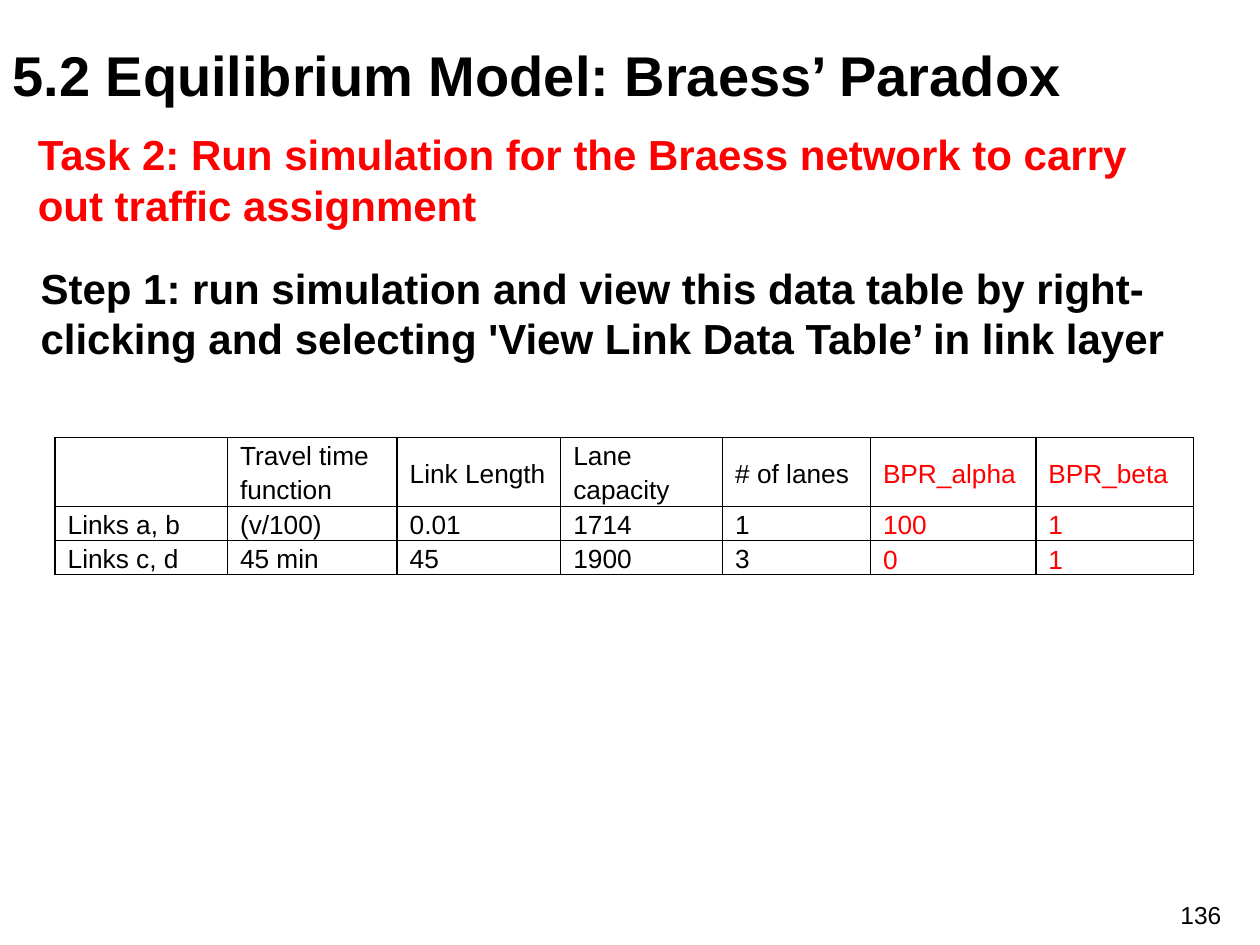
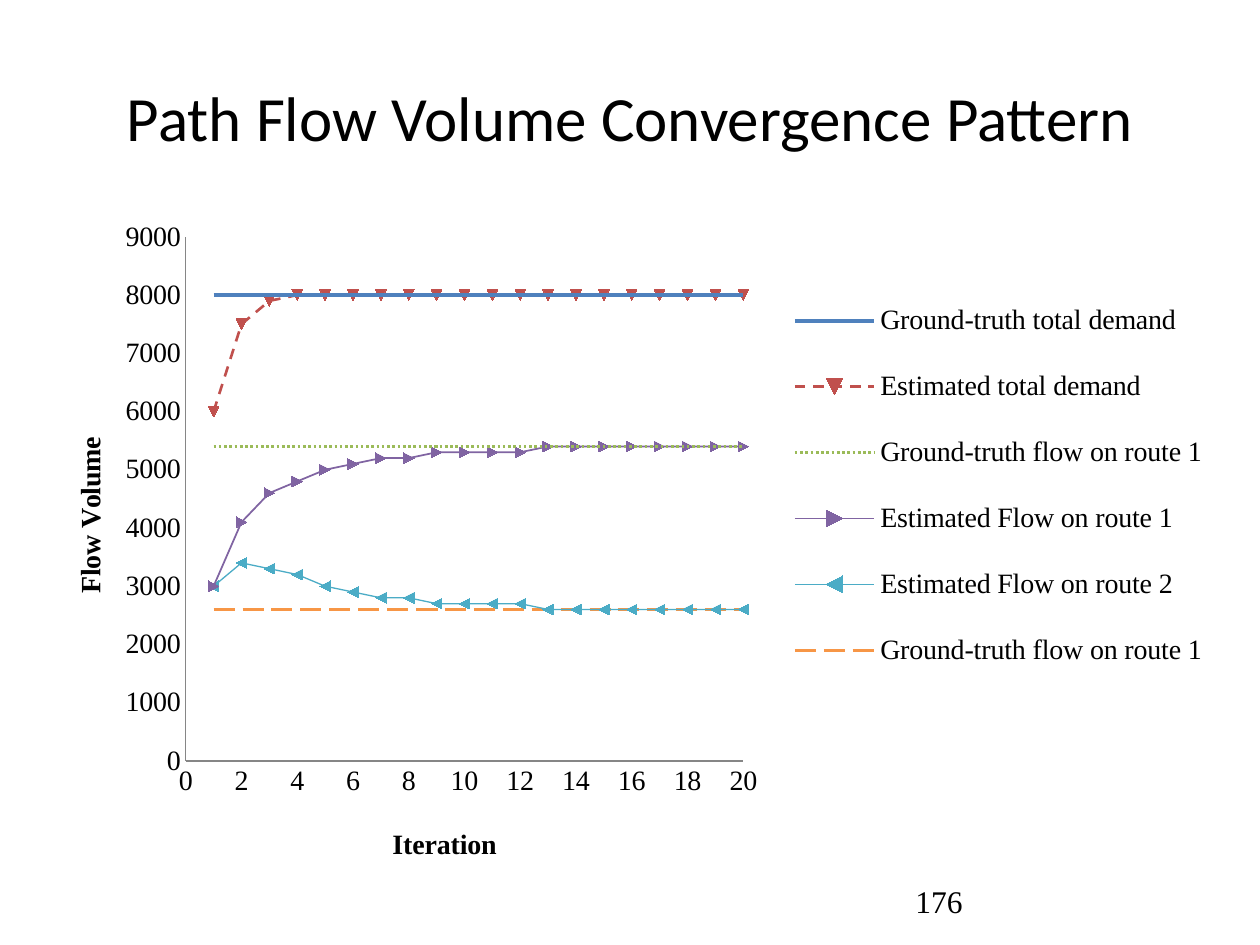
import dataclasses

import lxml.etree
import pptx
import pptx.chart.data
import pptx.dml.color
import pptx.enum.chart
import pptx.enum.dml
import pptx.enum.text
import pptx.oxml
import pptx.oxml.ns
import pptx.util

Pt = pptx.util.Pt
Dash = pptx.enum.dml.MSO_LINE
Align = pptx.enum.text.PP_ALIGN
Anchor = pptx.enum.text.MSO_ANCHOR
qn = pptx.oxml.ns.qn


@dataclasses.dataclass(frozen=True)
class Theme:
    black: str = "000000"
    red: str = "FF0000"
    axis: str = "868686"
    sans: str = "Arial"
    title_font: str = "Calibri"
    serif: str = "Times New Roman"
    heading: float = 32
    title: float = 36
    step: float = 24
    cell: float = 15
    chart: float = 16
    page_number: float = 14
    large_page_number: float = 18


def rgb(value):
    return pptx.dml.color.RGBColor.from_string(value)


class SlideBuilder:
    """Holds the style and the slide being filled."""

    def __init__(self, deck, theme):
        self.deck = deck
        self.theme = theme
        self.page = None

    def new_page(self):
        self.page = self.deck.slides.add_slide(self.deck.slide_layouts[5])

    def style(self, font, size, name=None, color=None, bold=False):
        font.name = name or self.theme.sans
        font.size = Pt(size)
        font.bold = bold
        font.color.rgb = rgb(color or self.theme.black)

    def add_words(self, frame, text, size, align=Align.LEFT, **look):
        para = frame.paragraphs[0]
        para.alignment = align
        span = para.add_run()
        span.text = text
        self.style(span.font, size, **look)
        return para

    def fill_box(self, box, text, size, anchor, **look):
        frame = box.text_frame
        frame.word_wrap = True
        frame.auto_size = pptx.enum.text.MSO_AUTO_SIZE.NONE
        frame.vertical_anchor = anchor
        self.add_words(frame, text, size, **look)

    def title(self, area, text, size, **look):
        box = self.page.shapes.title
        box.left, box.top, box.width, box.height = map(Pt, area)
        self.fill_box(box, text, size, Anchor.MIDDLE, **look)

    def text(self, area, text, size, anchor=Anchor.MIDDLE, **look):
        box = self.page.shapes.add_textbox(*map(Pt, area))
        self.fill_box(box, text, size, anchor, **look)

    # Tables
    def border(self, cell):
        properties = cell._tc.get_or_add_tcPr()
        for position, side in enumerate(("lnL", "lnR", "lnT", "lnB")):
            line = lxml.etree.Element(qn(f"a:{side}"), w=str(Pt(1)))
            fill = lxml.etree.SubElement(line, qn("a:solidFill"))
            lxml.etree.SubElement(fill, qn("a:srgbClr"), val=self.theme.black)
            properties.insert(position, line)

    def table(self, left, top, widths, heights, rows, red_from):
        frame = self.page.shapes.add_table(
            len(rows), len(widths), Pt(left), Pt(top), Pt(sum(widths)), Pt(sum(heights)))
        table = frame.table
        table.first_row = table.horz_banding = False
        for column, width in zip(table.columns, widths):
            column.width = Pt(width)
        for row, height in zip(table.rows, heights):
            row.height = Pt(height)
        for r, values in enumerate(rows):
            for c, value in enumerate(values):
                cell = table.cell(r, c)
                cell.fill.background()
                self.border(cell)
                cell.margin_left = cell.margin_right = Pt(7.2)
                cell.margin_top = cell.margin_bottom = 0
                is_red = c >= red_from
                one_line_header = r == 0 and c in (2, 4)
                cell.vertical_anchor = Anchor.MIDDLE if is_red or one_line_header else Anchor.TOP
                if value:
                    color = self.theme.red if is_red else self.theme.black
                    para = self.add_words(cell.text_frame, value, self.theme.cell, color=color)
                    para.line_spacing = 1.15

    # Charts
    def place(self, element, **fractions):
        """Give a chart part a fixed place, in fractions of the chart."""
        for old in element.findall(qn("c:layout")):
            element.remove(old)
        layout = lxml.etree.Element(qn("c:layout"))
        manual = lxml.etree.SubElement(layout, qn("c:manualLayout"))
        if element.tag == qn("c:plotArea"):
            lxml.etree.SubElement(manual, qn("c:layoutTarget"), val="inner")
        for mode in ("xMode", "yMode"):
            lxml.etree.SubElement(manual, qn(f"c:{mode}"), val="edge")
        for name, value in fractions.items():
            lxml.etree.SubElement(manual, qn(f"c:{name}"), val=str(value))
        overlay = element.find(qn("c:overlay"))
        if overlay is None:
            element.insert(0, layout)
        else:
            overlay.addprevious(layout)

    def axis(self, axis, title, maximum, step, x, y):
        axis.minimum_scale, axis.maximum_scale, axis.major_unit = 0, maximum, step
        axis.has_major_gridlines = axis.has_minor_gridlines = False
        axis.major_tick_mark = axis.minor_tick_mark = pptx.enum.chart.XL_TICK_MARK.NONE
        axis.format.line.color.rgb = rgb(self.theme.axis)
        axis.format.line.width = Pt(0.75)
        self.style(axis.tick_labels.font, self.theme.chart, self.theme.serif)
        self.add_words(axis.axis_title.text_frame, title, self.theme.chart,
                       Align.CENTER, name=self.theme.serif, bold=True)
        self.place(axis.axis_title._element, x=x, y=y)

    def scatter(self, area, curves):
        data = pptx.chart.data.XyChartData()
        for name, values, *_ in curves:
            series = data.add_series(name)
            for iteration, value in enumerate(values, start=1):
                series.add_data_point(iteration, value)
        chart = self.page.shapes.add_chart(
            pptx.enum.chart.XL_CHART_TYPE.XY_SCATTER_LINES, *map(Pt, area), data).chart
        chart.has_title = False
        self.style(chart.font, self.theme.chart, self.theme.serif)
        plot = chart.plots[0]
        plot.vary_by_categories = False

        # Lines and markers
        markers = pptx.enum.chart.XL_MARKER_STYLE
        for series, (_, _, color, width, dash, marked) in zip(plot.series, curves):
            series.smooth = False
            line = series.format.line
            line.color.rgb = rgb(color)
            line.width = Pt(width)
            line.dash_style = dash
            series.marker.style = markers.AUTOMATIC if marked else markers.NONE
            if marked:
                series.marker.size = 6
                series.marker.format.fill.solid()
                series.marker.format.fill.fore_color.rgb = rgb(color)
                series.marker.format.line.color.rgb = rgb(color)

        # Axes, legend and plot area
        self.axis(chart.category_axis, "Iteration", 20, 2, x=0.3, y=0.91)
        self.axis(chart.value_axis, "Flow Volume", 9000, 1000, x=0.03, y=0.33)
        chart.has_legend = True
        chart.legend.position = pptx.enum.chart.XL_LEGEND_POSITION.RIGHT
        chart.legend.include_in_layout = False
        self.style(chart.legend.font, self.theme.chart, self.theme.serif)
        self.place(chart.legend._element, x=0.64, y=0.09, w=0.35, h=0.64)
        self.place(chart._chartSpace.chart.plotArea, x=0.13, y=0.04, w=0.47, h=0.78)


def braess_page(build):
    theme = build.theme
    build.new_page()
    build.title((16, 135.5, 674.5, 86.5),
                "Step 1: run simulation and view this data table by right-clicking "
                "and selecting 'View Link Data Table’ in link layer", theme.step, bold=True)
    build.text((667.5, 510.5, 44, 29), "136", theme.page_number, Anchor.TOP)
    build.text((0, 2, 720, 80.5), "5.2 Equilibrium Model: Braess’ Paradox",
               theme.heading, bold=True)
    build.text((14.5, 54, 677, 97),
               "Task 2: Run simulation for the Braess network to carry out traffic assignment",
               theme.step, color=theme.red, bold=True)
    build.table(
        31.5, 250, (98.5, 97, 93.5, 92.5, 84.5, 94.5, 90), (39.5, 19.5, 19.5),
        (("", "Travel time function", "Link Length", "Lane capacity", "# of lanes",
          "BPR_alpha", "BPR_beta"),
         ("Links a, b", "(v/100)", "0.01", "1714", "1", "100", "1"),
         ("Links c, d", "45 min", "45", "1900", "3", "0", "1")),
        red_from=5)


def convergence_page(build):
    theme = build.theme
    build.new_page()
    build.title((36, 21.5, 648, 90), "Path Flow Volume Convergence Pattern", theme.title,
                align=Align.CENTER, name=theme.title_font)
    build.text((516, 500.5, 168, 29), "176", theme.large_page_number, Anchor.TOP,
               name=theme.serif)
    # Name, values, colour, line width, dash, markers
    total = [6000, 7500, 7900] + [8000] * 17
    route_1 = [3000, 4100, 4600, 4800, 5000, 5100] + [5200] * 2 + [5300] * 4 + [5400] * 8
    route_2 = [3000, 3400, 3300, 3200, 3000, 2900] + [2800] * 2 + [2700] * 4 + [2600] * 8
    build.scatter((18, 120, 678, 384), (
        ("Ground-truth total demand", [8000] * 20, "4F81BD", 2.25, Dash.SOLID, False),
        ("Estimated total demand", total, "C0504D", 1.5, Dash.DASH, True),
        ("Ground-truth flow on route 1", [5400] * 20, "9BBB59", 1.5, Dash.ROUND_DOT, False),
        ("Estimated Flow on route 1", route_1, "8064A2", 1, Dash.SOLID, True),
        ("Estimated Flow on route 2", route_2, "4BACC6", 0.75, Dash.SOLID, True),
        ("Ground-truth flow on route 1", [2600] * 20, "F79646", 1.5, Dash.LONG_DASH, False),
    ))


def main():
    deck = pptx.Presentation()
    deck.slide_width, deck.slide_height = Pt(720), Pt(540)
    build = SlideBuilder(deck, Theme())
    braess_page(build)
    convergence_page(build)
    deck.save("out.pptx")


if __name__ == "__main__":
    main()
